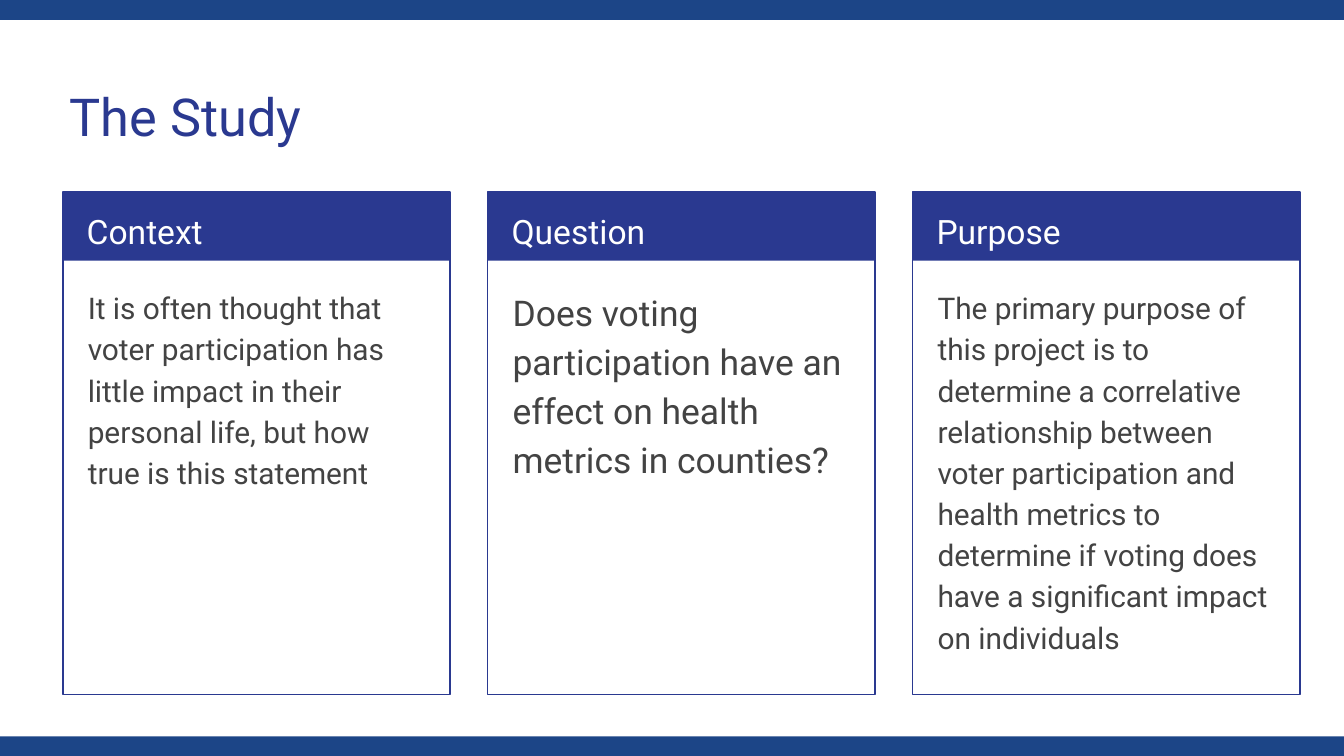
import dataclasses

import pptx
import pptx.dml.color
import pptx.enum.shapes
import pptx.enum.text
import pptx.util

Cm = pptx.util.Cm

FONT = "Roboto"
NAVY = "2A3990"
BAND_BLUE = "1C4587"
WHITE = "FFFFFF"
DARK_GRAY = "434343"

CARD_LEFT, CARD_TOP, CARD_PITCH = 1.19, 3.63, 8.03
CARD_WIDTH, CARD_HEIGHT, HEADER_HEIGHT = 7.32, 9.5, 1.3


@dataclasses.dataclass
class Box:
    """A position and size in centimetres."""
    left: float
    top: float
    width: float
    height: float

    def lengths(self) -> tuple:
        return Cm(self.left), Cm(self.top), Cm(self.width), Cm(self.height)


@dataclasses.dataclass
class Card:
    heading: str
    body: str
    body_size: int = 16


CARDS = [
    Card("Context", "It is often thought that voter participation has little impact "
         "in their personal life, but how true is this statement"),
    Card("Question", "Does voting participation have an effect on health metrics in "
         "counties?", 19),
    Card("Purpose", "The primary purpose of this project is to determine a correlative "
         "relationship between voter participation and health metrics to determine if "
         "voting does have a significant impact on individuals"),
]


def color(value: str) -> pptx.dml.color.RGBColor:
    return pptx.dml.color.RGBColor.from_string(value)


def set_all(target, values: dict) -> None:
    for name, value in values.items():
        setattr(target, name, value)


def write_text(shape, text: str, size: float, text_color: str,
               line_spacing: float = 1.0, space_after: float = 0) -> None:
    frame = shape.text_frame
    inset = Cm(0.25)
    set_all(frame, {
        "word_wrap": True,
        "auto_size": pptx.enum.text.MSO_AUTO_SIZE.NONE,
        "vertical_anchor": pptx.enum.text.MSO_ANCHOR.TOP,
        "margin_left": inset, "margin_right": inset,
        "margin_top": inset, "margin_bottom": inset,
    })
    paragraph = frame.paragraphs[0]
    set_all(paragraph, {
        "alignment": pptx.enum.text.PP_ALIGN.LEFT,
        "line_spacing": line_spacing,
        "space_before": pptx.util.Pt(0),
        "space_after": pptx.util.Pt(space_after),
    })
    run = paragraph.add_run()
    run.text = text
    set_all(run.font, {"name": FONT, "size": pptx.util.Pt(size)})
    run.font.color.rgb = color(text_color)


def add_rectangle(slide, box: Box, fill: str | None = None, line: str | None = None) -> None:
    shape = slide.shapes.add_shape(pptx.enum.shapes.MSO_SHAPE.RECTANGLE, *box.lengths())
    shape.shadow.inherit = False
    if fill:
        shape.fill.solid()
        shape.fill.fore_color.rgb = color(fill)
    else:
        shape.fill.background()
    if line:
        shape.line.color.rgb = color(line)
        shape.line.width = pptx.util.Pt(0.75)
    else:
        shape.line.fill.background()


def add_title(slide, text: str, box: Box) -> None:
    title = slide.shapes.title
    set_all(title, dict(zip(("left", "top", "width", "height"), box.lengths())))
    write_text(title, text, 28, NAVY)


def add_card(slide, card: Card, left: float) -> None:
    add_rectangle(slide, Box(left, CARD_TOP, CARD_WIDTH, HEADER_HEIGHT), fill=NAVY)
    add_rectangle(slide, Box(left, CARD_TOP, CARD_WIDTH, CARD_HEIGHT), line=NAVY)
    heading_box = Box(left + 0.2, CARD_TOP, 6.93, 1.27)
    heading = slide.shapes.add_textbox(*heading_box.lengths())
    write_text(heading, card.heading, 18, WHITE, 1.15)
    body_box = Box(left + 0.22, CARD_TOP + 1.5, 6.88, 7.77)
    body = slide.shapes.add_textbox(*body_box.lengths())
    write_text(body, card.body, card.body_size, DARK_GRAY, 1.15, 12)


def main() -> None:
    presentation = pptx.Presentation()
    presentation.slide_width = Cm(25.4)
    presentation.slide_height = Cm(14.29)
    slide = presentation.slides.add_slide(presentation.slide_layouts[5])

    # Title
    add_title(slide, "The Study", Box(1.07, 1.35, 23.67, 1.68))

    # Three cards
    for index, card in enumerate(CARDS):
        add_card(slide, card, CARD_LEFT + index * CARD_PITCH)

    # Bands along the top and bottom edges
    for top in (-0.15, 13.92):
        add_rectangle(slide, Box(-0.05, top, 25.45, 0.53), fill=BAND_BLUE)

    presentation.save("out.pptx")


if __name__ == "__main__":
    main()
